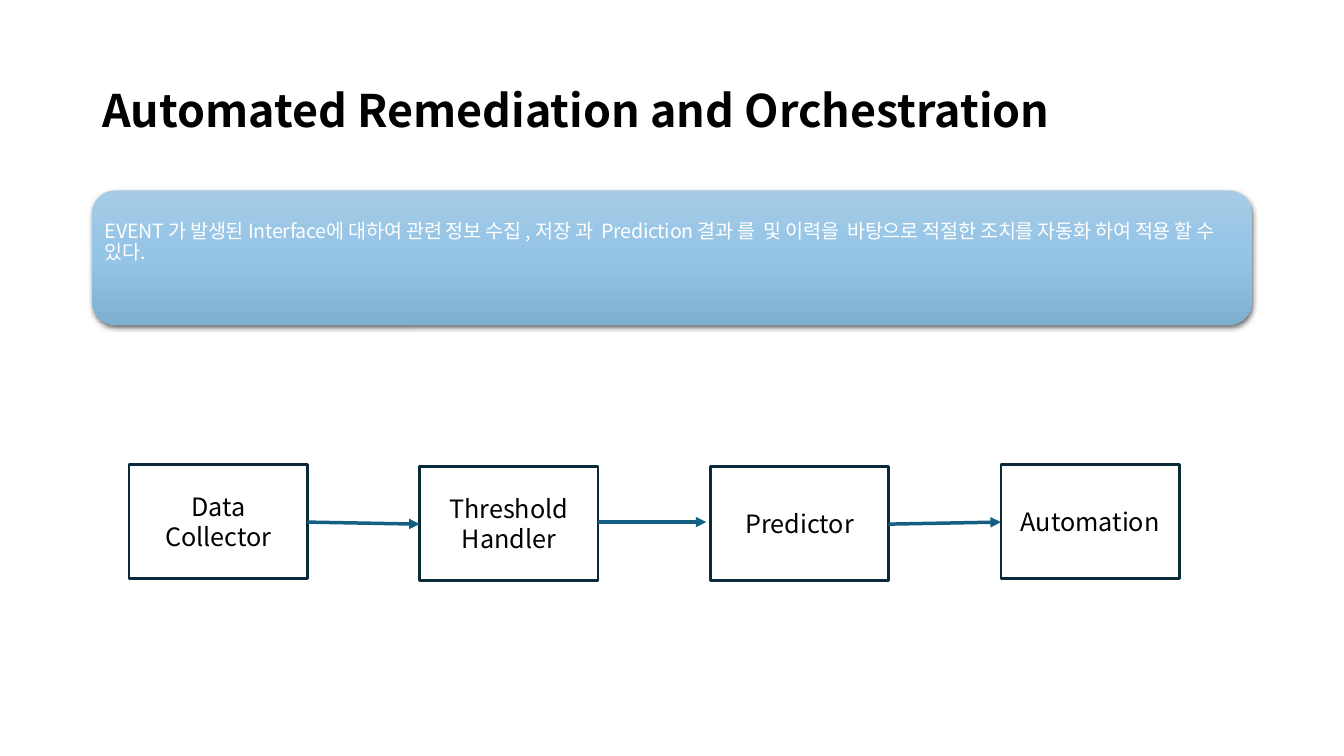
from dataclasses import dataclass
from itertools import pairwise

from lxml.etree import SubElement
from pptx import Presentation
from pptx.dml.color import RGBColor
from pptx.enum.shapes import MSO_CONNECTOR, MSO_SHAPE
from pptx.enum.text import MSO_ANCHOR, PP_ALIGN
from pptx.oxml.ns import qn
from pptx.util import Emu, Inches, Pt

COLS, ROWS = 160, 90
CELL = Inches(13.333) / COLS
FONT = "Noto Sans CJK KR"
COLORS = {
    "text": "000000",
    "banner_text": "FFFFFF",
    "banner_top": "A5CBE6",
    "banner_mid": "94C4E6",
    "banner_end": "7FAFD1",
    "shadow": "000000",
    "box_line": "092A39",
    "arrow": "156082",
}
TITLE = "Automated Remediation and Orchestration"
BANNER = (
    "EVENT 가 발생된 Interface에 대하여 관련 정보 수집 , 저장 과  Prediction 결과 를  및 이력을  "
    "바탕으로 적절한 조치를 자동화 하여 적용 할 수 있다."
)
BOX_W, BOX_H = 21.24, 13.56
FIRST_COL, COL_STEP = 15.36, 34.6


@dataclass(frozen=True)
class Area:
    col: float
    row: float
    cols: float
    rows: float

    def emu(self) -> tuple:
        return tuple(cells(n) for n in (self.col, self.row, self.cols, self.rows))


@dataclass(frozen=True)
class Step:
    label: str
    row: float


@dataclass(frozen=True)
class Arrow:
    start_row: float
    end_row: float
    gap: float = 0


STEPS = [
    Step("Data Collector", 55.32),
    Step("Threshold Handler", 55.56),
    Step("Predictor", 55.56),
    Step("Automation", 55.32),
]
ARROWS = [Arrow(62.16, 62.4), Arrow(62.16, 62.16, 0.48), Arrow(62.4, 62.16)]


def cells(n: float) -> Emu:
    return Emu(round(n * CELL))


def color(name: str) -> RGBColor:
    return RGBColor.from_string(COLORS[name])


def write(sp, text: str, size: float, ink: str, bold: bool = False,
          align=PP_ALIGN.LEFT, spacing: float = 1.0):
    tf = sp.text_frame
    tf.word_wrap = True
    tf.vertical_anchor = MSO_ANCHOR.MIDDLE
    p = tf.paragraphs[0]
    p.text = text
    p.alignment = align
    p.line_spacing = spacing
    f = p.font
    f.size, f.bold, f.name = Pt(size), bold, FONT
    f.color.rgb = color(ink)
    SubElement(f._element, qn("a:ea"), typeface=FONT)
    return p


def add_title(slide, area: Area) -> None:
    sp = slide.shapes.add_textbox(*area.emu())
    write(sp, TITLE, 32, "text", bold=True, spacing=0.9)


def add_banner(slide, area: Area) -> None:
    """Rounded panel with a vertical gradient and a soft shadow below."""
    sp = slide.shapes.add_shape(MSO_SHAPE.ROUNDED_RECTANGLE, *area.emu())
    sp.line.fill.background()
    sp.fill.gradient()
    sp.fill.gradient_angle = 270
    stops = sp._element.spPr.find(".//" + qn("a:gsLst"))
    for old in list(stops):
        stops.remove(old)
    for i, name in enumerate(("banner_top", "banner_mid", "banner_end")):
        gs = SubElement(stops, qn("a:gs"), pos=str(i * 50000))
        SubElement(gs, qn("a:srgbClr"), val=COLORS[name])

    effects = SubElement(sp._element.spPr, qn("a:effectLst"))
    shadow = SubElement(effects, qn("a:outerShdw"), blurRad=str(Pt(4.5)),
                        dist=str(Pt(1.5)), dir="5400000", rotWithShape="0")
    clr = SubElement(shadow, qn("a:srgbClr"), val=COLORS["shadow"])
    SubElement(clr, qn("a:alpha"), val="63000")

    p = write(sp, BANNER, 14, "banner_text", spacing=0.9)
    p.font._element.set("spc", "-20")
    tf = sp.text_frame
    tf.vertical_anchor = MSO_ANCHOR.TOP
    tf.margin_left = tf.margin_right = cells(0.72)
    tf.margin_top = cells(2.88)


def add_step(slide, step: Step, col: float) -> None:
    area = Area(col, step.row, BOX_W, BOX_H)
    sp = slide.shapes.add_shape(MSO_SHAPE.RECTANGLE, *area.emu())
    sp.shadow.inherit = False
    sp.fill.background()
    sp.line.color.rgb = color("box_line")
    sp.line.width = Pt(2)
    write(sp, step.label, 18, "text", align=PP_ALIGN.CENTER)


def add_arrow(slide, arrow: Arrow, col: float, next_col: float) -> None:
    ends = (col + BOX_W, arrow.start_row, next_col - arrow.gap, arrow.end_row)
    line = slide.shapes.add_connector(MSO_CONNECTOR.STRAIGHT, *map(cells, ends))
    line.line.color.rgb = color("arrow")
    line.line.width = Pt(2.5)
    SubElement(line.line._get_or_add_ln(), qn("a:tailEnd"), type="triangle")
    SubElement(line._element.spPr, qn("a:effectLst"))


def main() -> None:
    prs = Presentation()
    prs.slide_width, prs.slide_height = cells(COLS), cells(ROWS)
    slide = prs.slides.add_slide(prs.slide_layouts[6])
    add_title(slide, Area(11, 4.8, 138, 17.4))
    add_banner(slide, Area(11, 22.68, 138, 15.96))
    cols = [FIRST_COL + i * COL_STEP for i in range(len(STEPS))]
    for step, col in zip(STEPS, cols):
        add_step(slide, step, col)
    for arrow, (col, next_col) in zip(ARROWS, pairwise(cols)):
        add_arrow(slide, arrow, col, next_col)
    prs.save("out.pptx")


if __name__ == "__main__":
    main()
